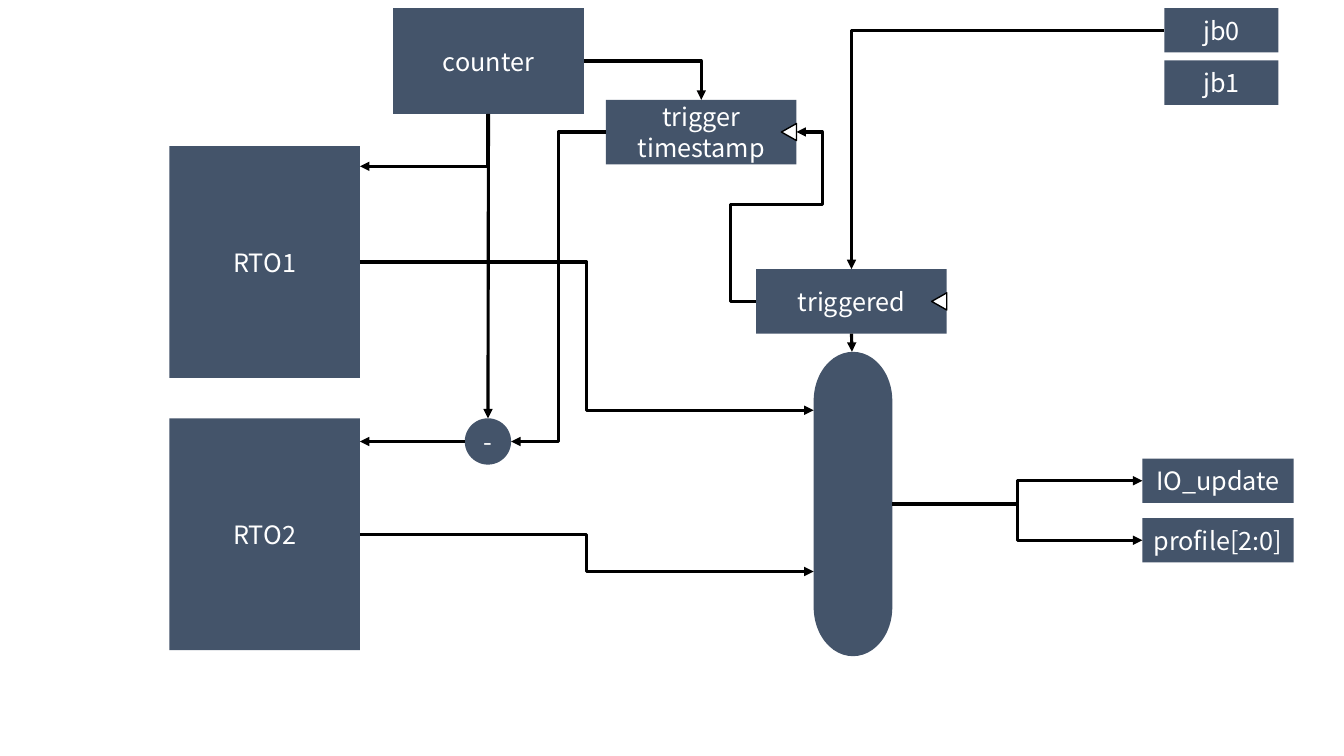
from collections import namedtuple
from dataclasses import dataclass

from lxml import etree
from pptx import Presentation
from pptx.dml.color import RGBColor
from pptx.enum.shapes import MSO_CONNECTOR, MSO_SHAPE
from pptx.enum.text import MSO_ANCHOR, PP_ALIGN
from pptx.oxml.ns import qn
from pptx.util import Inches, Pt

Joint = namedtuple("Joint", "box side")
TOP, LEFT, BOTTOM, RIGHT = range(4)
SIDE_SHARES = {TOP: (0.5, 0), LEFT: (0, 0.5), BOTTOM: (0.5, 1), RIGHT: (1, 0.5)}


@dataclass(frozen=True)
class Theme:
    block: RGBColor = RGBColor(0x44, 0x54, 0x6A)
    ink: RGBColor = RGBColor(0, 0, 0)
    paper: RGBColor = RGBColor(255, 255, 255)
    font: str = "Noto Sans CJK KR"
    text_size: int = Pt(18)
    wire_width: int = Pt(2.25)
    marker_width: int = Pt(1)
    unit: int = Inches(0.1)


def apply_formats(target, formats):
    for name, value in formats.items():
        setattr(target, name, value)


class Diagram:
    def __init__(self, page, theme):
        self.page = page
        self.theme = theme

    def grid(self, *cells):
        return [round(cell * self.theme.unit) for cell in cells]

    def shape(self, kind, frame, color, parent=None, rotation=0):
        shape = (parent or self.page).shapes.add_shape(kind, *self.grid(*frame))
        shape.shadow.inherit = False
        shape.rotation = rotation
        shape.fill.solid()
        shape.fill.fore_color.rgb = color
        shape.line.fill.background()
        return shape

    def block(self, text, frame, kind=MSO_SHAPE.RECTANGLE, parent=None):
        box = self.shape(kind, frame, self.theme.block, parent)
        box.text_frame.text = text
        apply_formats(box.text_frame, {"word_wrap": True, "vertical_anchor": MSO_ANCHOR.MIDDLE})
        for para in box.text_frame.paragraphs:
            para.alignment = PP_ALIGN.CENTER
            for span in para.runs:
                apply_formats(span.font, {"name": self.theme.font, "size": self.theme.text_size})
                span.font.color.rgb = self.theme.paper
        return box

    def register(self, text, left, top):
        width, height = 18.9, 6.4
        group = self.page.shapes.add_group_shape()
        box = self.block(text, (left, top, width, height), parent=group)
        frame = (left + width - 1.6, top + (height - 1.5) / 2, 1.7, 1.5)
        marker = self.shape(MSO_SHAPE.ISOSCELES_TRIANGLE, frame, self.theme.paper, group, 270)
        marker.line.color.rgb = self.theme.ink
        marker.line.width = self.theme.marker_width
        return box

    def locate(self, end):
        if not isinstance(end, Joint):
            return self.grid(*end)
        across, down = SIDE_SHARES[end.side]
        box = end.box
        return [round(box.left + across * box.width), round(box.top + down * box.height)]

    def wire(self, start, finish, bends=2, adjustments=(), turned=False):
        (x1, y1), (x2, y2) = self.locate(start), self.locate(finish)
        if turned:
            middle_x, middle_y = (x1 + x2) // 2, (y1 + y2) // 2
            half_x, half_y = (y2 - y1) // 2, (x1 - x2) // 2
            x1, y1 = middle_x - half_x, middle_y - half_y
            x2, y2 = middle_x + half_x, middle_y + half_y
        kind = MSO_CONNECTOR.ELBOW if bends else MSO_CONNECTOR.STRAIGHT
        wire = self.page.shapes.add_connector(kind, x1, y1, x2, y2)
        if isinstance(start, Joint):
            wire.begin_connect(*start)
        if isinstance(finish, Joint):
            wire.end_connect(*finish)
        wire.line.color.rgb = self.theme.ink
        wire.line.width = self.theme.wire_width
        properties = wire._element.spPr
        if bends:
            geometry = properties.find(qn("a:prstGeom"))
            geometry.set("prst", f"bentConnector{bends + 1}")
            values = geometry.find(qn("a:avLst"))
            for number, share in enumerate(adjustments, 1):
                guide = etree.SubElement(values, qn("a:gd"))
                guide.set("name", f"adj{number}")
                guide.set("fmla", f"val {round(share * 100000)}")
        if turned:
            properties.find(qn("a:xfrm")).set("rot", "5400000")
        etree.SubElement(properties.find(qn("a:ln")), qn("a:tailEnd")).set("type", "triangle")
        etree.SubElement(properties, qn("a:effectLst"))


def main():
    deck = Presentation()
    deck.slide_width, deck.slide_height = Inches(13.33), Inches(7.5)
    page = deck.slides.add_slide(deck.slide_layouts[6])
    theme = Theme()
    diagram = Diagram(page, theme)

    rto1, rto2 = [
        diagram.block(f"RTO{number}", (16.8, top, 18.9, 23))
        for number, top in ((1, 14.5), (2, 41.5))
    ]
    counter = diagram.block("counter", (39, 0.8, 18.9, 10.5))
    diagram.shape(MSO_SHAPE.FLOWCHART_TERMINATOR, (69.5, 46.1, 30.2, 7.8), theme.block, rotation=90)
    jb0, jb1 = [
        diagram.block(f"jb{number}", (115.5, 0.8 + 5.2 * number, 11.3, 4.4))
        for number in range(2)
    ]
    io_update, profile = [
        diagram.block(text, (113.3, 45.5 + 5.9 * row, 15, 4.4))
        for row, text in enumerate(("IO_update", "profile[2:0]"))
    ]
    timestamp = diagram.register("trigger\ntimestamp", 60.1, 9.9)
    triggered = diagram.register("triggered", 75, 26.7)
    minus = diagram.block("-", (46.1, 41.5, 4.6, 4.6), MSO_SHAPE.OVAL)

    diagram.wire(Joint(counter, RIGHT), Joint(timestamp, TOP), bends=1)
    diagram.wire(Joint(counter, BOTTOM), Joint(minus, TOP), bends=0)
    diagram.wire(Joint(timestamp, LEFT), (50.7, 43.8))
    diagram.wire((48.4, 11.3), (35.7, 16.5), bends=1, turned=True)
    diagram.wire((46.1, 43.8), (35.7, 43.8), bends=0)
    diagram.wire(Joint(jb0, LEFT), Joint(triggered, TOP), bends=1)
    for source, entry in ((rto1, 40.7), (rto2, 56.7)):
        diagram.wire(Joint(source, RIGHT), (80.7, entry))
    for output in (io_update, profile):
        diagram.wire((88.5, 50), Joint(output, LEFT))
    diagram.wire(
        Joint(triggered, LEFT), Joint(timestamp, RIGHT), bends=4, adjustments=(-0.64, 0.57, 1.64)
    )
    diagram.wire(Joint(triggered, BOTTOM), (84.5, 34.9), bends=0)

    deck.save("out.pptx")


if __name__ == "__main__":
    main()
